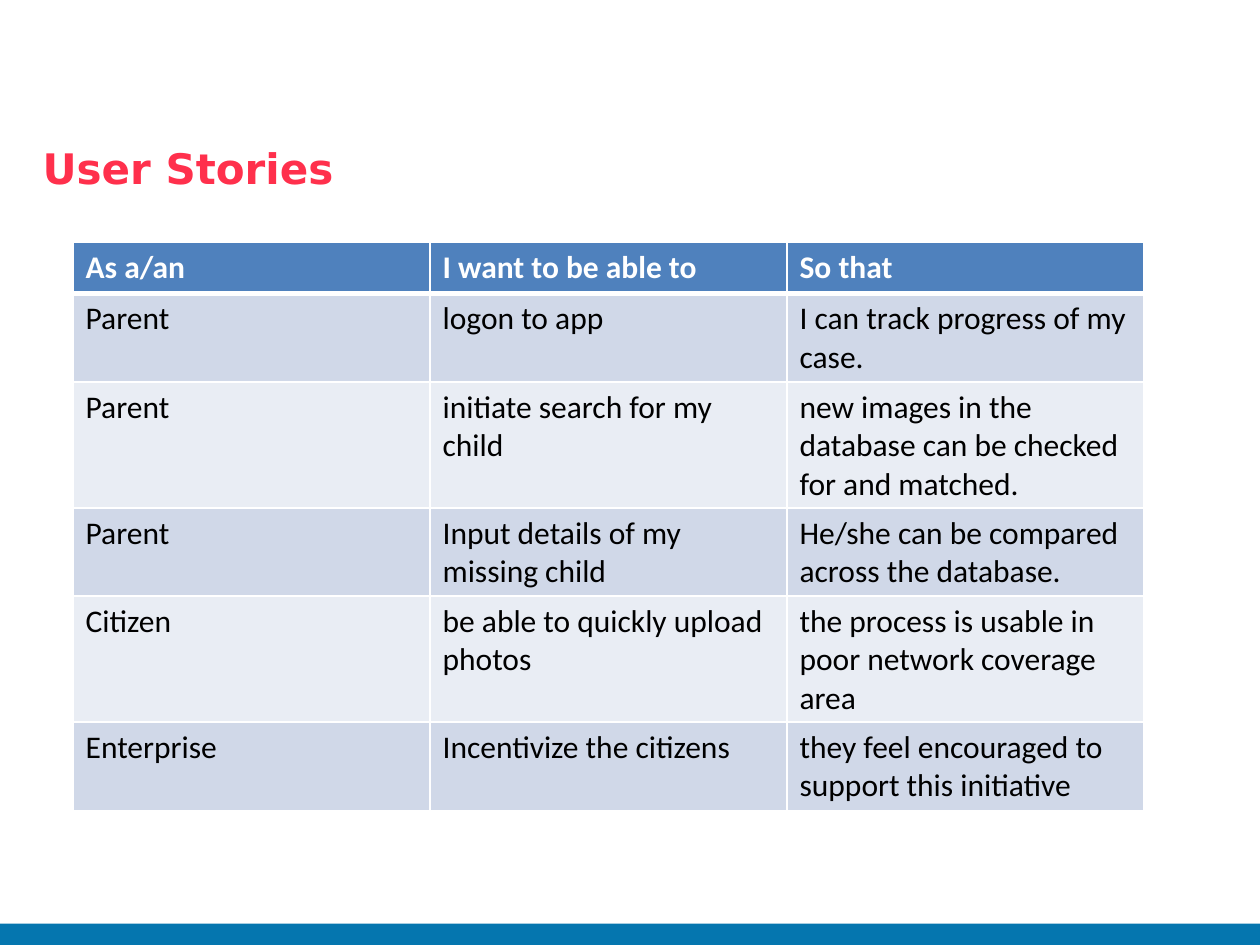
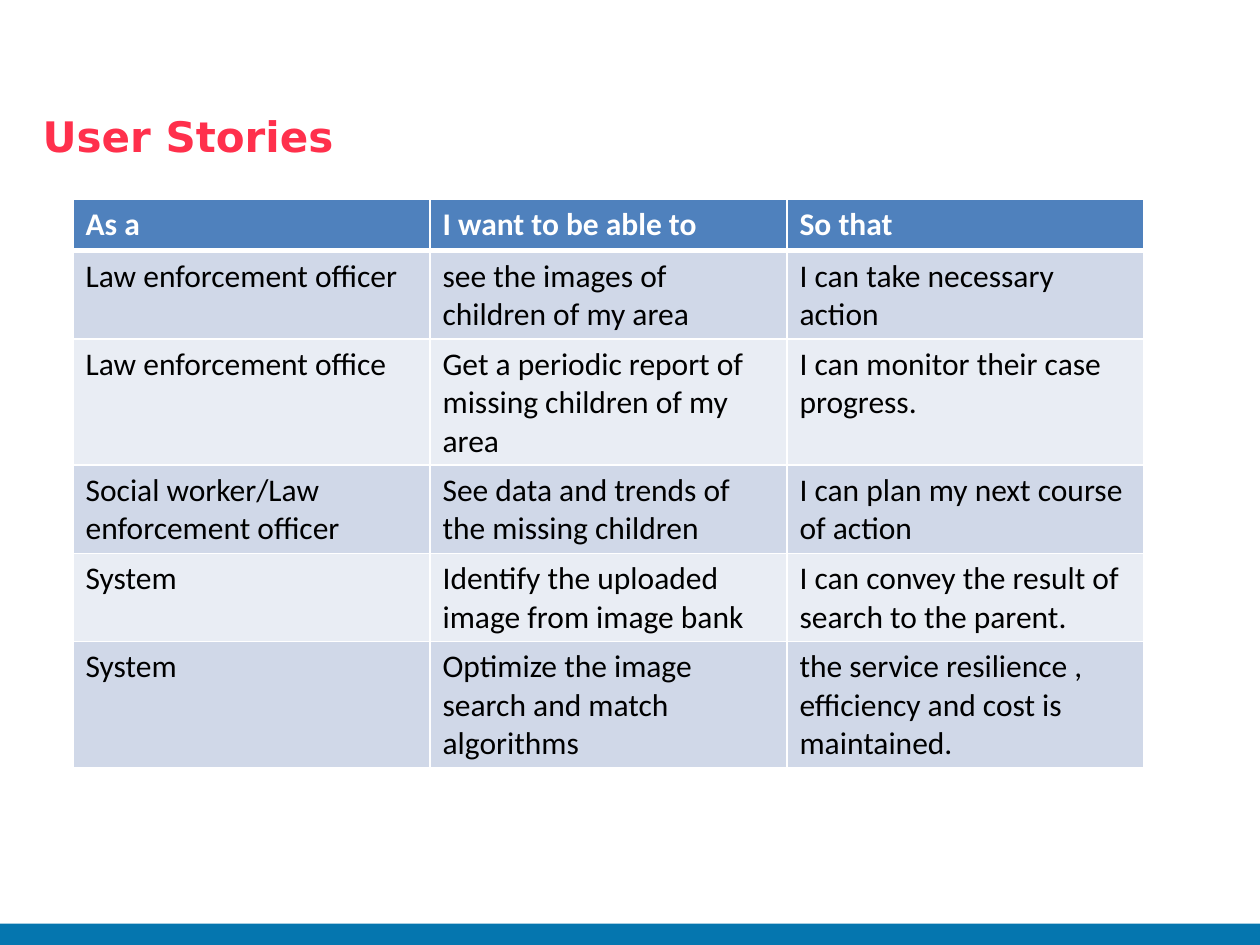
import pptx
import pptx.util
import pptx.dml.color
import pptx.enum.shapes
import pptx.enum.text
import pptx.oxml.ns
import lxml.etree

Inches = pptx.util.Inches
RGBColor = pptx.dml.color.RGBColor

RED = RGBColor(0xFF, 0x30, 0x4C)
BAND = RGBColor(0x05, 0x76, 0xAF)
HEAD = RGBColor(0x4F, 0x81, 0xBD)
DARK = RGBColor(0xD0, 0xD8, 0xE8)
PALE = RGBColor(0xE9, 0xED, 0xF4)
WHITE = RGBColor(0xFF, 0xFF, 0xFF)
BLACK = RGBColor(0x00, 0x00, 0x00)

# Each slide: title top, table top, table rows
SLIDES = [
    (1.08, 1.92, [
        ("As a/an", "I want to be able to", "So that"),
        ("Parent", "logon to app", "I can track progress of my case."),
        ("Parent", "initiate search for my child",
         "new images in the database can be checked for and matched."),
        ("Parent", "Input details of my missing child",
         "He/she can be compared across the database."),
        ("Citizen", "be able to quickly upload photos",
         "the process is usable in poor network coverage area"),
        ("Enterprise", "Incentivize the citizens",
         "they feel encouraged to support this initiative"),
    ]),
    (0.83, 1.58, [
        ("As a", "I want to be able to", "So that"),
        ("Law enforcement officer", "see the images of children of my area",
         "I can take necessary action"),
        ("Law enforcement office",
         "Get a periodic report of missing children of my area",
         "I can monitor their case progress."),
        ("Social worker/Law enforcement officer",
         "See data and trends of the missing children",
         "I can plan my next course of action"),
        ("System", "Identify the uploaded image from image bank",
         "I can convey the result of search to the parent."),
        ("System", "Optimize the image search and match algorithms",
         "the service resilience , efficiency and cost is maintained."),
    ]),
]


def write(frame, text, font="Calibri", size=18, color=BLACK, bold=False):
    """Put one formatted run of text into a text frame."""
    run = frame.paragraphs[0].add_run()
    run.text = text
    run.font.name = font
    run.font.size = pptx.util.Pt(size)
    run.font.color.rgb = color
    run.font.bold = bold


def edge(cell, side, width):
    """Draw a white border on one side of a cell."""
    qn = pptx.oxml.ns.qn
    props = cell._tc.get_or_add_tcPr()
    line = lxml.etree.SubElement(props, qn("a:ln" + side),
                                 w=str(pptx.util.Pt(width)))
    fill = lxml.etree.SubElement(line, qn("a:solidFill"))
    lxml.etree.SubElement(fill, qn("a:srgbClr"), val=str(WHITE))


deck = pptx.Presentation()
deck.slide_width = Inches(10)
deck.slide_height = Inches(7.5)

for title_top, table_top, rows in SLIDES:
    slide = deck.slides.add_slide(deck.slide_layouts[6])

    band = slide.shapes.add_shape(
        pptx.enum.shapes.MSO_SHAPE.RECTANGLE,
        Inches(0), Inches(7.33), Inches(10), Inches(0.18))
    band.shadow.inherit = False
    band.fill.solid()
    band.fill.fore_color.rgb = BAND
    band.line.fill.background()

    title = slide.shapes.add_textbox(
        Inches(0.24), Inches(title_top), Inches(5.01), Inches(0.5))
    title.text_frame.word_wrap = True
    title.text_frame.auto_size = pptx.enum.text.MSO_AUTO_SIZE.SHAPE_TO_FIT_TEXT
    write(title.text_frame, "User Stories", font="DejaVu Sans", size=24,
          color=RED, bold=True)

    table = slide.shapes.add_table(
        len(rows), len(rows[0]), Inches(0.58), Inches(table_top),
        Inches(8.5), Inches(0.41 * len(rows))).table
    for r, row in enumerate(rows):
        head = r == 0
        for c, text in enumerate(row):
            cell = table.cell(r, c)
            for side in "LRTB":
                thick = (r, side) in ((0, "B"), (1, "T"))
                edge(cell, side, 3 if thick else 1)
            cell.fill.solid()
            cell.fill.fore_color.rgb = HEAD if head else DARK if r % 2 else PALE
            write(cell.text_frame, text, color=WHITE if head else BLACK,
                  bold=head)

deck.save("out.pptx")
